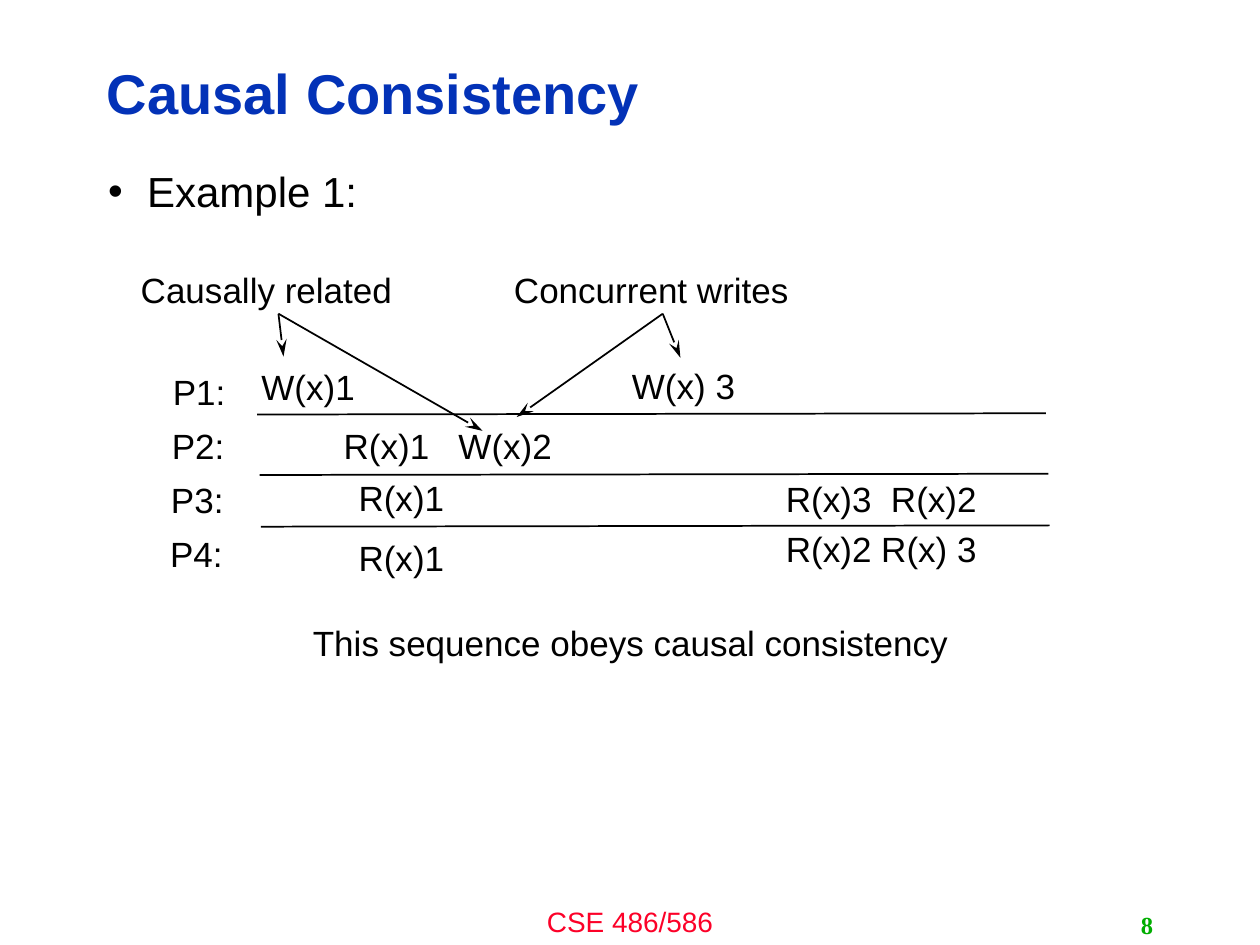
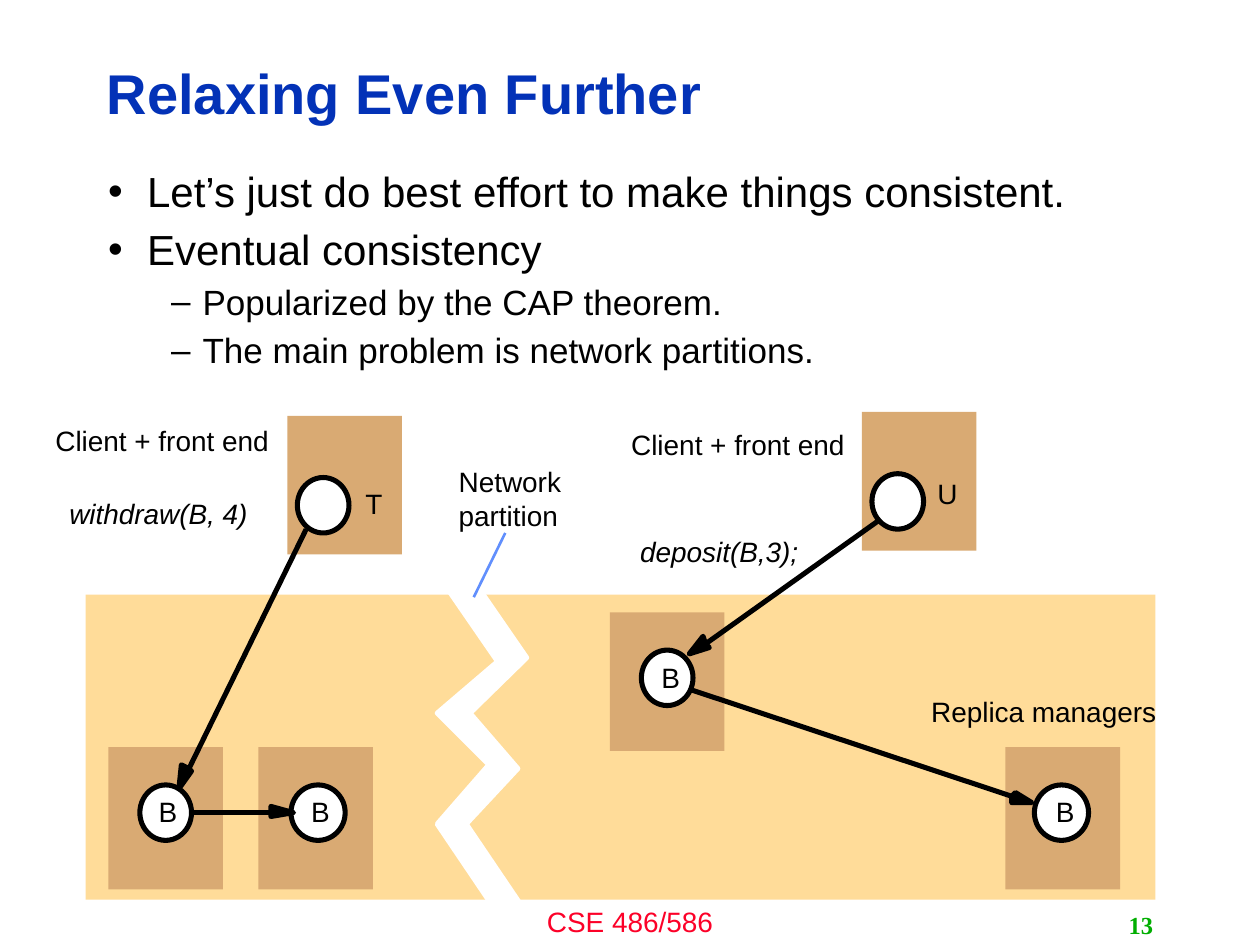
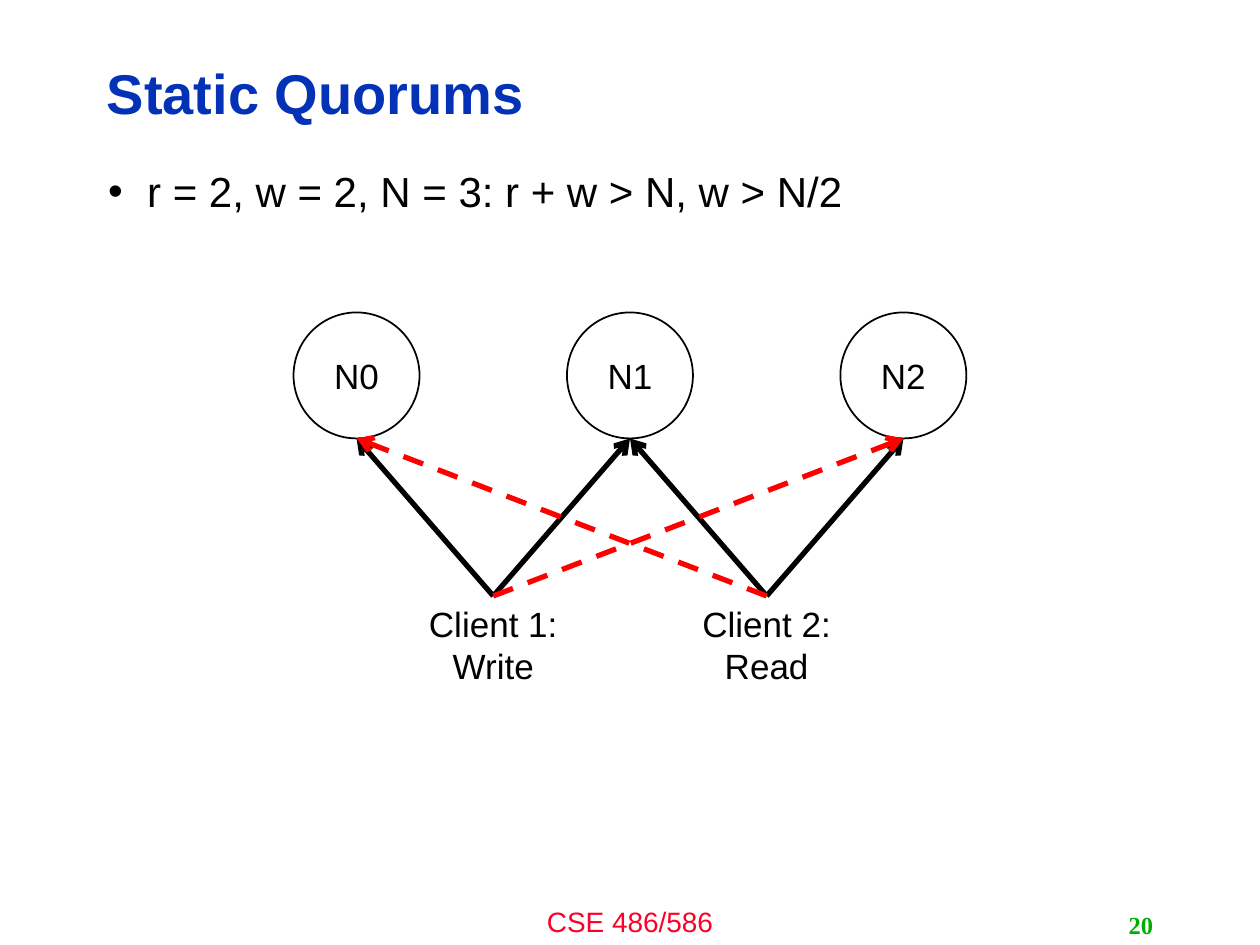
from collections import namedtuple
from itertools import product

from lxml import etree
from pptx import Presentation
from pptx import util as u
from pptx.dml.color import RGBColor
from pptx.enum import dml, shapes, text
from pptx.oxml.ns import qn

COLS, ROWS, CELL = 100, 75, 0.1
BLACK, WHITE, BLUE, RED, GREEN = "000000", "FFFFFF", "0332B7", "FC0128", "00AE00"
SAND, TAN, SKY, ALERT = "FFDC99", "D9AA73", "618FFD", "FF0000"
LEFT, MID, RIGHT = text.PP_ALIGN.LEFT, text.PP_ALIGN.CENTER, text.PP_ALIGN.RIGHT
RECT, OVAL = shapes.MSO_SHAPE.RECTANGLE, shapes.MSO_SHAPE.OVAL

Box = namedtuple("Box", "x y w h")


def grid(*cells):
    """Turn grid cells into slide lengths."""
    return [u.Inches(c * CELL) for c in cells]


def inner(box, x, y, w=0, h=0):
    """Return a box placed relative to another box."""
    return Box(box.x + x, box.y + y, w, h)


def hue(code):
    """Turn a hex string into a colour."""
    return RGBColor.from_string(code)


def style(para, size, color=BLACK, font="Arial", bold=False, slant=False):
    """Format every run of a paragraph."""
    for run in para.runs:
        face = run.font
        face.name, face.size, face.bold, face.italic = font, u.Pt(size), bold, slant
        face.color.rgb = hue(color)


def label(slide, words, box, size=20, align=MID, wrap=False, inset=(1, 0.5), mid=False, **look):
    """Add a one-paragraph text box."""
    item = slide.shapes.add_textbox(*grid(*box))
    frame = item.text_frame
    frame.word_wrap = wrap
    frame.margin_left = frame.margin_right = grid(inset[0])[0]
    frame.margin_top = frame.margin_bottom = grid(inset[1])[0]
    frame.vertical_anchor = text.MSO_ANCHOR.MIDDLE if mid else text.MSO_ANCHOR.TOP
    para = frame.paragraphs[0]
    para.text, para.alignment = words, align
    style(para, size, **look)
    return item


def paint(item, fill, line=None, weight=1):
    """Set fill and outline of a shape and drop its shadow."""
    item.shadow.inherit = False
    item.fill.solid()
    item.fill.fore_color.rgb = hue(fill)
    if line:
        item.line.color.rgb, item.line.width = hue(line), u.Pt(weight)
    else:
        item.line.fill.background()


def solid(slide, kind, box, fill, line=None, weight=1):
    """Add a preset shape."""
    item = slide.shapes.add_shape(kind, *grid(*box))
    paint(item, fill, line, weight)
    return item


def outline(slide, box, points, color):
    """Add a closed polygon with points relative to the box."""
    first, *rest = [grid(box.x + x, box.y + y) for x, y in points]
    pen = slide.shapes.build_freeform(*first)
    pen.add_line_segments(rest, close=True)
    paint(pen.convert_to_shape(), color, color, 2.88)


def link(slide, box, start, end, color=BLACK, weight=1, head=None, dash=False, size="med"):
    """Add a straight line with ends relative to the box."""
    ends = grid(box.x + start[0], box.y + start[1], box.x + end[0], box.y + end[1])
    item = slide.shapes.add_connector(shapes.MSO_CONNECTOR.STRAIGHT, *ends)
    item.line.color.rgb, item.line.width = hue(color), u.Pt(weight)
    if dash:
        item.line.dash_style = dml.MSO_LINE.DASH
    if head:
        etree.SubElement(item.line._get_or_add_ln(), qn("a:tailEnd"), type=head, len=size)
    etree.SubElement(item._element.spPr, qn("a:effectLst"))
    return item


def page(deck, title, number):
    """Start a slide with its title, footer and number."""
    slide = deck.slides.add_slide(deck.slide_layouts[6])
    label(slide, "CSE 486/586", Box(COLS / 3, 71.3, COLS / 3, 3.7), 16, wrap=True, color=RED)
    head = label(slide, title, Box(7.5, 3.6, 79.8, 8.1), 32, LEFT, True, mid=True,
                 color=BLUE, bold=True)
    head.text_frame.paragraphs[0].line_spacing = 0.9
    label(slide, number, Box(71.7, 71.8, 20.8, 3.2), 14, RIGHT, True, mid=True,
          color=GREEN, font="Times New Roman", bold=True)
    return slide


def bullets(slide, box, items):
    """Add a list of (level, words) with hanging bullets."""
    levels = ((24, "•", 0.31, 0.31), (20, "–", 0.75, 0.25))
    frame = slide.shapes.add_textbox(*grid(*box)).text_frame
    frame.word_wrap = True
    frame.text = "\n".join(words for _, words in items)
    for para, (level, _) in zip(frame.paragraphs, items):
        size, mark, left, hang = levels[level]
        para.level, para.line_spacing, para.space_before = level, 0.9, u.Pt(size * 0.3)
        props = para._p.get_or_add_pPr()
        props.set("marL", str(u.Inches(left)))
        props.set("indent", str(-u.Inches(hang)))
        etree.SubElement(props, qn("a:buFont"), typeface="Arial")
        etree.SubElement(props, qn("a:buChar"), char=mark)
        style(para, size)


def history(slide, box):
    """Draw the reads and writes of four processes over time."""
    for x, y in ((10.4, 12.9), (10.6, 17.7), (10.7, 21.8)):
        link(slide, box, (x, y), (x + 62.6, y - 0.1))
    for row in range(4):
        label(slide, f"P{row + 1}:", inner(box, 2.7 - row * 0.07, 8.9 + row * 4.3, 6.2, 4.4))
    events = (
        ("Causally related", 0.1, 0.8, 22.1), ("Concurrent writes", 29.7, 0.8, 24),
        ("W(x)1", 9.7, 8.5, 9.5), ("W(x) 3", 39.1, 8.4, 10.3),
        ("R(x)1   W(x)2", 16.2, 13.2, 18.7), ("R(x)1", 17.4, 17.3, 8.9),
        ("R(x)1", 17.4, 22.1, 8.9), ("R(x)3  R(x)2", 51.3, 17.4, 17.3),
        ("R(x)2 R(x) 3", 51.3, 21.4, 17.3),
        ("This sequence obeys causal consistency", 13.6, 28.8, 52.9))
    for words, x, y, wide in events:
        label(slide, words, inner(box, x, y, wide, 4.4))
    fans = (((12.1, 4.9), ((12.5, 8.3), (28.3, 14.2))),
            ((42.6, 4.9), ((44, 8.4), (31, 13.1))))
    for start, ends in fans:
        for end in ends:
            link(slide, box, start, end, head="stealth", size="lg")


def host(slide, box, ring, letter, name):
    """Draw one machine with its process ring and letter."""
    solid(slide, RECT, box, TAN)
    solid(slide, OVAL, inner(box, *ring, 4.4), WHITE, BLACK, 2.88)
    label(slide, name, inner(box, *letter, 2, 2.7), 16, LEFT, True, (0, 0))


def network(slide, box):
    """Draw clients and replicas on both sides of a split network."""
    solid(slide, RECT, inner(box, 2.8, 15.2, 84.9, 24.2), SAND)
    client, first, far = (0.8, 4.9, 4.1), (2.5, 3, 4.1), (2.3, 3, 4.3)
    hosts = (
        (18.8, 1, 11, client, (6.2, 5.6), "T"), (64.4, 0.7, 11, client, (6, 5.1), "U"),
        (44.4, 16.6, 11, first, (4.1, 3.8), "B"), (75.8, 27.3, 11.3, far, (4, 3.8), "B"),
        (4.6, 27.3, 11.3, first, (4, 3.8), "B"), (16.5, 27.3, 11.3, (2.6, 3, 4.3), (4.2, 3.8), "B"))
    for x, y, high, ring, letter, name in hosts:
        host(slide, inner(box, x, y, 9.1, high), ring, letter, name)
    notes = (
        ("Client + front end", 0.4, 1.6, 18, False), ("Client + front end", 46.1, 1.9, 18, False),
        ("withdraw(B, 4)", 1.5, 7.4, 15.2, True), ("deposit(B,3);", 46.8, 10.4, 13.6, True),
        ("Network", 32.4, 4.9, 9.1, False), ("partition", 32.4, 7.6, 9.1, False),
        ("Replica managers", 69.9, 23.1, 18.9, False))
    for words, x, y, wide, slant in notes:
        label(slide, words, inner(box, x, y, wide, 2.7), 16, LEFT, True, (0, 0), slant=slant)
    calls = (
        ((20.3, 10), ((11, 29), (11.2, 29.2), (10.2, 30.6), (10.4, 28.7))),
        ((11, 32.5), ((17.5, 32.5), (17.5, 32), (19.3, 32.5), (17.5, 32.8))),
        ((65.9, 9.2), ((52, 19.1), (52.3, 19.4), (50.7, 19.9), (51.8, 18.5))),
        ((50.7, 22.7), ((76.3, 31.2), (76.6, 30.9), (77.9, 31.7), (76.3, 31.7))))
    for start, tip in calls:
        outline(slide, box, tip, BLACK)
        link(slide, box, start, tip[0], weight=2.88)
    crack = ((31.5, 14.7), (35.5, 20.5), (30.7, 24.6), (34.8, 28.7), (30.7, 33.4), (35.5, 40.5),
             (37.6, 40.2), (33, 33.4), (37.1, 29), (33.3, 24.6), (37.8, 20.2), (33.8, 14.4))
    outline(slide, box, crack, WHITE)
    link(slide, box, (36.1, 10.3), (33.6, 15.4), SKY, 1.5)


def quorum(slide, box):
    """Draw three nodes and the two clients that reach them."""
    side, deep, wide = 10, 22.5, 15
    step = (box.w - side) / 2
    nodes = [side / 2 + i * step for i in range(3)]
    for i, x in enumerate(nodes):
        item = solid(slide, OVAL, inner(box, x - side / 2, 0, side, side), WHITE, BLACK)
        frame = item.text_frame
        frame.text, frame.vertical_anchor = f"N{i}", text.MSO_ANCHOR.MIDDLE
        frame.paragraphs[0].alignment = MID
        style(frame.paragraphs[0], 20)
    starts = [x + step / 2 for x in nodes[:2]]
    clients = [label(slide, words, inner(box, x - wide / 2, deep, wide, 7.7), wrap=True)
               for words, x in zip(("Client 1: Write", "Client 2: Read"), starts)]
    pairs = sorted(product(range(2), range(3)), key=lambda p: abs(p[0] * 2 - p[1]) == 2)
    for c, n in pairs:
        cross = abs(c * 2 - n) == 2
        line = link(slide, box, (starts[c], deep), (nodes[n], side),
                    ALERT if cross else BLACK, 3, "arrow", cross)
        line.begin_connect(clients[c], 0)


def main():
    """Build and save the deck."""
    deck = Presentation()
    deck.slide_width, deck.slide_height = grid(COLS, ROWS)
    body = Box(7.6, 13.1, 84, 53.9)
    plan = (
        ("Causal Consistency", "8", [(0, "Example 1:")], history, Box(10, 20, 73.3, 33.2)),
        ("Relaxing Even Further", "13",
         [(0, "Let’s just do best effort to make things consistent."),
          (0, "Eventual consistency"),
          (1, "Popularized by the CAP theorem."),
          (1, "The main problem is network partitions.")], network, Box(4, 32, 88, 40.5)),
        ("Static Quorums", "20", [(0, "r = 2, w = 2, N = 3: r + w > N, w > N/2")],
         quorum, Box(23.3, 24.8, 53.4, 30.2)))
    for title, number, items, draw, box in plan:
        slide = page(deck, title, number)
        bullets(slide, body, items)
        draw(slide, box)
    deck.save("out.pptx")


if __name__ == "__main__":
    main()
